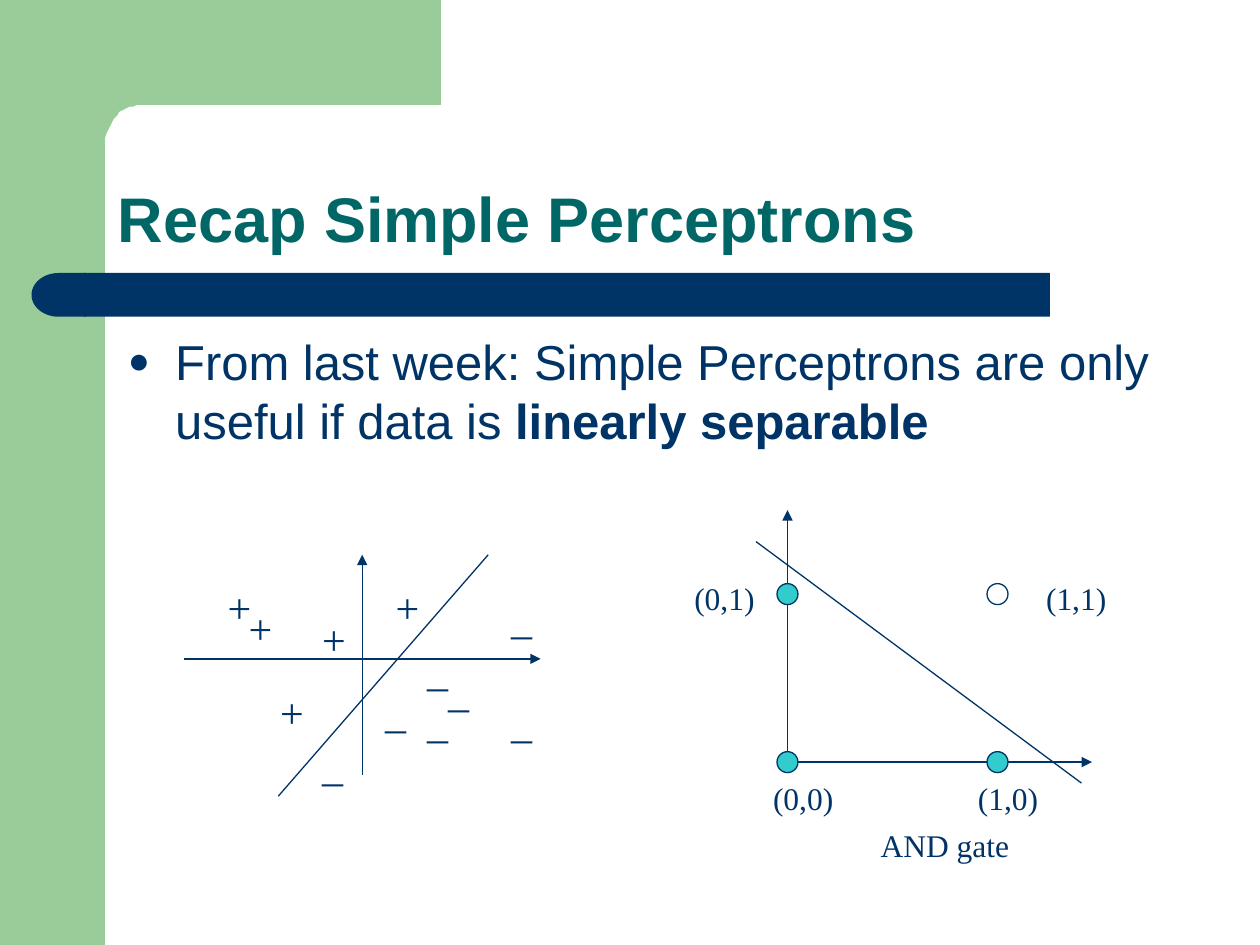
import math

import lxml.etree
import pptx
import pptx.dml.color
import pptx.enum.shapes
import pptx.enum.text
import pptx.oxml.ns
import pptx.util

Pt = pptx.util.Pt
qn = pptx.oxml.ns.qn
SHAPES = pptx.enum.shapes.MSO_SHAPE
ALIGN = pptx.enum.text.PP_ALIGN
ANCHOR = pptx.enum.text.MSO_ANCHOR
AUTO_SIZE = pptx.enum.text.MSO_AUTO_SIZE

NAVY = pptx.dml.color.RGBColor(0x00, 0x33, 0x66)
TEAL = pptx.dml.color.RGBColor(0x00, 0x66, 0x66)
GREEN = pptx.dml.color.RGBColor(0x99, 0xCC, 0x99)
TURQUOISE = pptx.dml.color.RGBColor(0x33, 0xCC, 0xCC)

TITLE_FONT = {"name": "Arial", "size": Pt(36), "bold": True}
BODY_FONT = {"name": "Arial", "size": Pt(28)}
SIGN_FONT = {"name": "Times New Roman", "size": Pt(24)}
LABEL_FONT = {"name": "Times New Roman", "size": Pt(18)}

presentation = pptx.Presentation()
presentation.slide_width = Pt(720)
presentation.slide_height = Pt(540)
slide = presentation.slides.add_slide(presentation.slide_layouts[5])
shapes = slide.shapes


def add_run(paragraph, text, font_values, color):
    run = paragraph.add_run()
    run.text = text
    for name, value in font_values.items():
        setattr(run.font, name, value)
    run.font.color.rgb = color
    return run


def add_label(text, left, top, width, height, font_values):
    box = shapes.add_textbox(Pt(left), Pt(top), Pt(width), Pt(height))
    box.text_frame.word_wrap = True
    box.text_frame.auto_size = AUTO_SIZE.SHAPE_TO_FIT_TEXT
    paragraph = box.text_frame.paragraphs[0]
    paragraph.alignment = ALIGN.CENTER
    add_run(paragraph, text, font_values, NAVY)
    return box


side_band = shapes.add_shape(SHAPES.RECTANGLE, 0, 0, Pt(60), Pt(540))

arc = [
    (80 - 20 * math.sin(math.radians(angle)), 83.5 - 23.5 * math.cos(math.radians(angle)))
    for angle in range(0, 91, 6)
]
builder = shapes.build_freeform(252, 0, scale=Pt(1))
builder.add_line_segments([(252, 60), *arc, (60, 92), (36, 92), (36, 0)])
corner = builder.convert_to_shape()

bar = shapes.add_shape(SHAPES.RECTANGLE, Pt(48), Pt(156), Pt(552), Pt(25))
bar_cap = shapes.add_shape(SHAPES.FLOWCHART_DELAY, Pt(18), Pt(156), Pt(31), Pt(25))
bar_cap.rotation = 180

for shape, color in [(side_band, GREEN), (corner, GREEN), (bar, NAVY), (bar_cap, NAVY)]:
    shape.shadow.inherit = False
    shape.fill.solid()
    shape.fill.fore_color.rgb = color
    shape.line.fill.background()

title = shapes.title
title.left, title.top, title.width, title.height = Pt(60), Pt(60), Pt(624), Pt(90)
title_values = {
    "word_wrap": True,
    "auto_size": AUTO_SIZE.NONE,
    "vertical_anchor": ANCHOR.BOTTOM,
}
for name, value in title_values.items():
    setattr(title.text_frame, name, value)
paragraph = title.text_frame.paragraphs[0]
paragraph.alignment = ALIGN.LEFT
paragraph.line_spacing = 0.9
add_run(paragraph, "Recap Simple Perceptrons", TITLE_FONT, TEAL)

body = shapes.add_textbox(Pt(66), Pt(186), Pt(605.5), Pt(84))
body.text_frame.word_wrap = True
paragraph = body.text_frame.paragraphs[0]
properties = paragraph._p.get_or_add_pPr()
properties.set("marL", str(Pt(27)))
properties.set("indent", str(Pt(-27)))
bullet_color = lxml.etree.SubElement(properties, qn("a:buClr"))
lxml.etree.SubElement(bullet_color, qn("a:srgbClr"), val=str(NAVY))
lxml.etree.SubElement(properties, qn("a:buSzPct"), val="75000")
lxml.etree.SubElement(properties, qn("a:buFont"), typeface="Arial")
lxml.etree.SubElement(properties, qn("a:buChar"), char="●")
add_run(
    paragraph,
    "From last week: Simple Perceptrons are only useful if data is ",
    BODY_FONT,
    NAVY,
)
add_run(paragraph, "linearly separable", {**BODY_FONT, "bold": True}, NAVY)

lines = [
    (207, 443, 207, 317, True),
    (105, 376.5, 309, 376.5, True),
    (159, 455, 279, 317, False),
    (450, 435.5, 450, 291.5, True),
    (450, 435.5, 624, 435.5, True),
    (432, 309.5, 618, 447.5, False),
]
for start_x, start_y, end_x, end_y, has_arrow in lines:
    connector = shapes.add_connector(
        pptx.enum.shapes.MSO_CONNECTOR.STRAIGHT,
        Pt(start_x), Pt(start_y), Pt(end_x), Pt(end_y),
    )
    connector.line.color.rgb = NAVY
    connector.line.width = Pt(0.75)
    if has_arrow:
        line_element = connector.line._get_or_add_ln()
        lxml.etree.SubElement(line_element, qn("a:tailEnd"), type="triangle")
    lxml.etree.SubElement(connector._element.spPr, qn("a:effectLst"))

signs = [
    ("+", 18, [(123, 329), (177, 347), (135, 340.5), (219, 329), (153, 389)]),
    ("_", 24, [(237, 394.5), (213, 389), (285, 335), (285, 394.5),
               (249, 376.5), (237, 365), (177, 419)]),
]
for sign, width, positions in signs:
    for left, top in positions:
        add_label(sign, left, top, width, 36, SIGN_FONT)

for first_input in (0, 1):
    for second_input in (0, 1):
        point = shapes.add_shape(
            SHAPES.OVAL,
            Pt(444 + 120 * first_input), Pt(429.5 - 96 * second_input), Pt(12), Pt(12),
        )
        point.shadow.inherit = False
        point.line.color.rgb = NAVY
        point.line.width = Pt(0.75)
        if first_input and second_input:
            point.fill.background()
        else:
            point.fill.solid()
            point.fill.fore_color.rgb = TURQUOISE

point_labels = [
    ("(0,0)", 426, 441.5, 66),
    ("(1,0)", 546, 441.5, 60),
    ("(1,1)", 576, 327.5, 78),
    ("(0,1)", 372, 327.5, 84),
]
for text, left, top, width in point_labels:
    add_label(text, left, top, width, 29, LABEL_FONT)

gate_label = add_label("AND gate", 496, 468.5, 88, 29, LABEL_FONT)
gate_label.text_frame.word_wrap = False
gate_label.text_frame.vertical_anchor = ANCHOR.MIDDLE

presentation.save("out.pptx")
